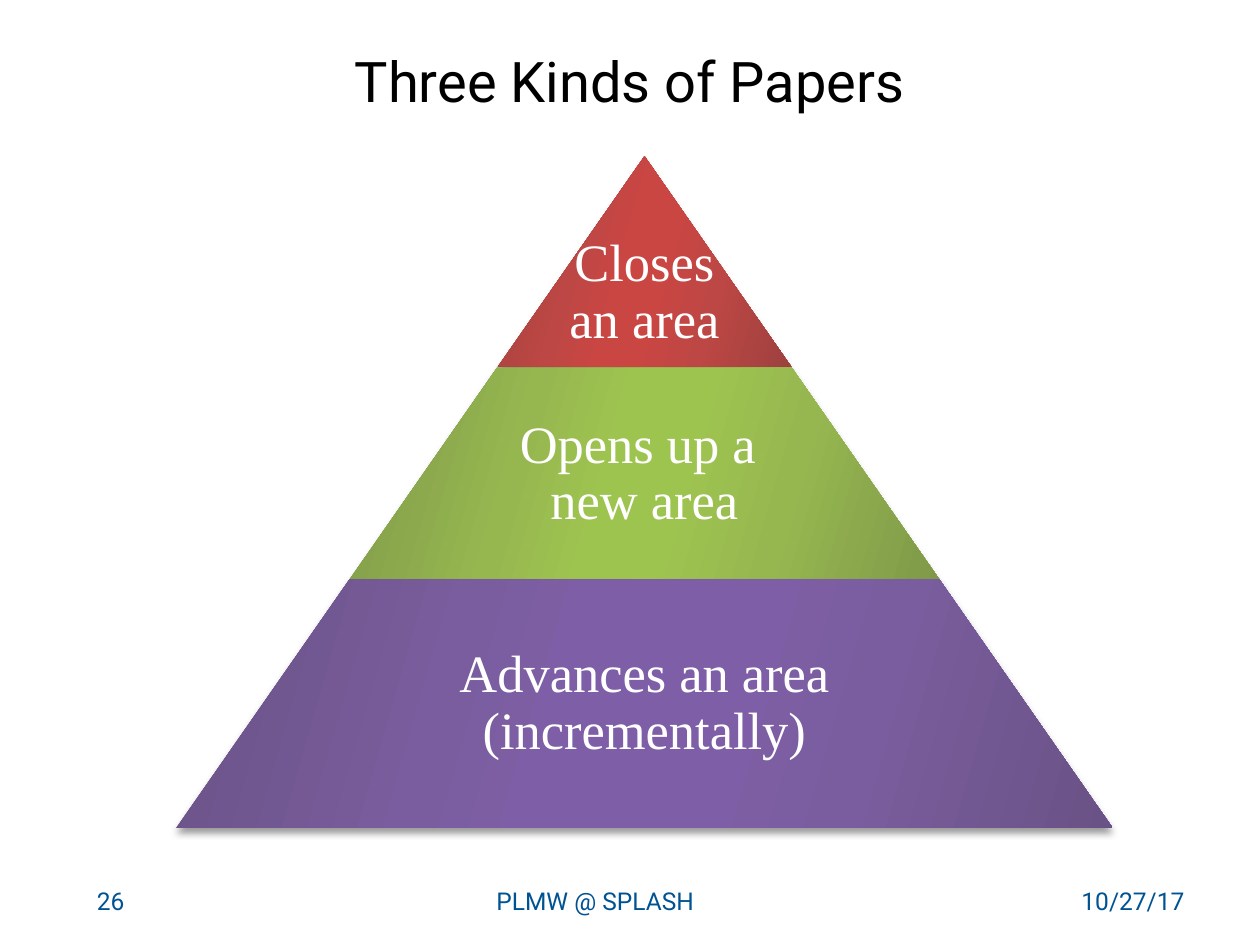
from lxml.etree import SubElement
from pptx import Presentation
from pptx.dml.color import RGBColor
from pptx.enum.shapes import MSO_SHAPE
from pptx.enum.text import MSO_ANCHOR, PP_ALIGN
from pptx.oxml.ns import qn
from pptx.util import Inches, Pt

COLUMNS, ROWS = 100, 75
SLOPE = 0.697  # half the width gained per unit of height
CENTRE, APEX = 51.15, 12.4


def rgb(value):
    return RGBColor.from_string(value)


def write(tf, text, font="Roboto", size=14, color="000000", align=PP_ALIGN.LEFT,
          anchor=MSO_ANCHOR.TOP, spacing=None):
    tf.word_wrap = True
    tf.vertical_anchor = anchor
    p = tf.paragraphs[0]
    p.text = text
    p.alignment = align
    if spacing:
        p.line_spacing = spacing
    for r in p.runs:
        r.font.name, r.font.size, r.font.color.rgb = font, Pt(size), rgb(color)


class Deck:
    """Holds the presentation, its grid and the current slide."""

    def __init__(self):
        self.prs = Presentation()
        self.prs.slide_width, self.prs.slide_height = Inches(10), Inches(7.5)
        self.s = self.prs.slides.add_slide(self.prs.slide_layouts[5])

    def box(self, left, top, width, height):
        """Turns columns and rows into lengths."""
        col, row = self.prs.slide_width / COLUMNS, self.prs.slide_height / ROWS
        return [round(v) for v in (left * col, top * row, width * col, height * row)]

    def title(self, text, *place):
        sp = self.s.shapes.title
        sp.left, sp.top, sp.width, sp.height = self.box(*place)
        write(sp.text_frame, text, size=32, align=PP_ALIGN.CENTER, anchor=MSO_ANCHOR.MIDDLE)

    def text(self, text, *place, inset=None, lower=0, **style):
        """Adds a text box; lower is extra room above the text, in rows."""
        tf = self.s.shapes.add_textbox(*self.box(*place)).text_frame
        if inset is not None:
            tf.margin_left = tf.margin_right = tf.margin_bottom = Inches(inset)
            tf.margin_top = Inches(inset) + self.box(0, lower, 0, 0)[1]
        write(tf, text, **style)

    def gradient(self, sp, edge, middle, core):
        sp.fill.gradient()
        sp.fill.gradient_angle = 344
        stops = sp.element.spPr.find(qn("a:gradFill")).find(qn("a:gsLst"))
        stops.clear()
        for pos, color in zip((0, 30, 45, 55, 73, 100),
                              (edge, middle, core, core, middle, edge)):
            gs = SubElement(stops, qn("a:gs"), pos=str(pos * 1000))
            SubElement(gs, qn("a:srgbClr"), val=color)

    def shadow(self, sp):
        sp.shadow.inherit = False
        effects = sp.element.spPr.find(qn("a:effectLst"))
        outer = SubElement(effects, qn("a:outerShdw"), blurRad=str(Pt(4)),
                           dist=str(Pt(3.4)), dir="5400000", rotWithShape="0")
        color = SubElement(outer, qn("a:srgbClr"), val="000000")
        SubElement(color, qn("a:alpha"), val="40000")

    def tier(self, text, top, bottom, colors, share, lower=0):
        """Adds a pyramid tier whose text takes a share of its width."""
        width, height = 2 * SLOPE * (bottom - APEX), bottom - top
        sp = self.s.shapes.add_shape(
            MSO_SHAPE.TRAPEZOID, *self.box(CENTRE - width / 2, top, width, height))
        sp.adjustments[0] = SLOPE
        sp.line.fill.background()
        self.gradient(sp, *colors)
        self.shadow(sp)
        self.text(text, CENTRE - width * share / 2, top, width * share, height,
                  inset=0.04, lower=lower, font="Times New Roman", size=30,
                  color="FFFFFF", align=PP_ALIGN.CENTER, anchor=MSO_ANCHOR.MIDDLE,
                  spacing=0.9)


def main():
    deck = Deck()
    deck.title("Three Kinds of Papers", 5, 1.7, 90, 9.3)

    for text, left, width, align in (
            ("26", 6.7, 8.9, PP_ALIGN.LEFT),
            ("PLMW @ SPLASH", 15.6, 63.3, PP_ALIGN.CENTER),
            ("10/27/17", 70, 25, PP_ALIGN.RIGHT)):
        deck.text(text, left, 69.8, width, 4, color="005392", align=align)

    deck.tier("Closes\nan area", APEX, 29.1, ("9D413F", "BD4744", "CA4643"), 1, lower=5)
    deck.tier("Opens up a \nnew area", 29.2, 46.1, ("7F9949", "96B750", "9EC450"), 0.65)
    deck.tier("Advances an area\n(incrementally)", 46, 65.7,
              ("695285", "7A5D9E", "7F5EA8"), 0.65)
    deck.prs.save("out.pptx")


if __name__ == "__main__":
    main()
